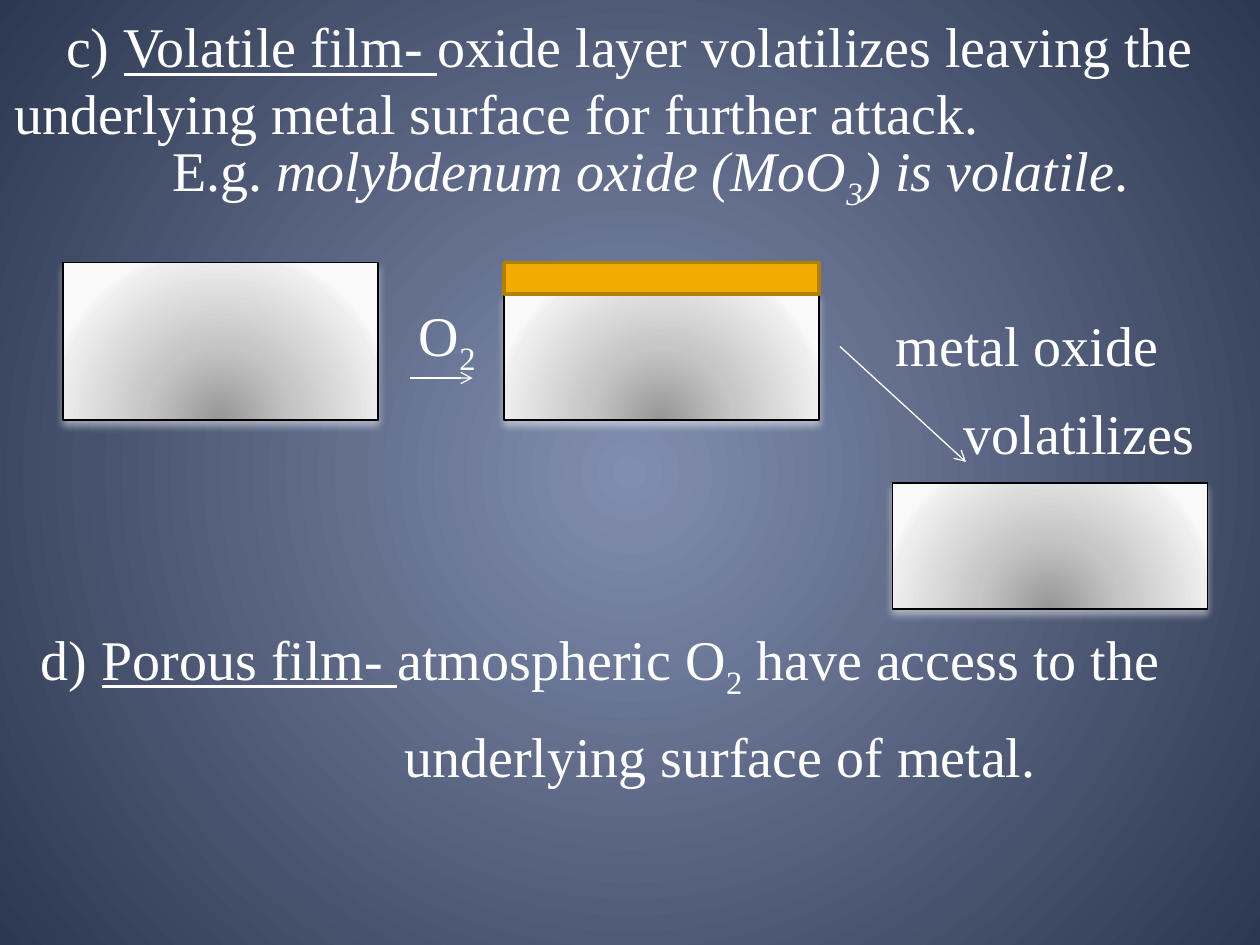
from dataclasses import dataclass

from lxml.etree import SubElement
from pptx import Presentation
from pptx.dml.color import RGBColor
from pptx.enum.shapes import MSO_CONNECTOR, MSO_SHAPE
from pptx.oxml import parse_xml
from pptx.oxml.ns import nsdecls, qn
from pptx.slide import Slide
from pptx.util import Emu, Inches, Pt


@dataclass(frozen=True)
class Theme:
    font: str = "Times New Roman"
    size: float = 32
    line_pitch: float = 38
    text: str = "FFFFFF"
    outline: str = "000000"
    shadow: str = "FFFFFF"
    oxide: str = "F0AD00"
    oxide_edge: str = "B28000"
    backdrop: tuple = ((0, "828EAF"), (100, "2C3750"))
    metal: tuple = ((0, "979797"), (43, "C6C6C6"), (93, "EEEEEE"), (100, "F9F9F9"))


@dataclass(frozen=True)
class Box:
    """A place on the grid, in columns and rows."""
    col: float
    row: float
    cols: float
    rows: float


@dataclass(frozen=True)
class Run:
    text: str
    underline: bool = False
    italic: bool = False
    sub: bool = False


@dataclass(frozen=True)
class Line:
    """A paragraph; margin and first-line indent are in columns."""
    runs: tuple[Run, ...]
    margin: float = 0
    indent: float = 0
    before: float = 0


@dataclass(frozen=True)
class Label:
    box: Box
    lines: tuple[Line, ...]


@dataclass(frozen=True)
class Arrow:
    start: tuple[float, float]
    end: tuple[float, float]


THEME = Theme()
WIDTH, HEIGHT = Inches(10), Inches(7.5)
COLS, ROWS = 120, 90
GAP = 12.3

METALS = (Box(6, 25, 30, 15), Box(48, 28, 30, 12), Box(85, 46, 30, 12))
OXIDE = Box(48, 25, 30, 3)
ARROWS = (Arrow((39, 36), (45, 36)), Arrow((80, 33), (92, 44)))
LABELS = (
    Label(Box(1.4, 1.2, 117, 19), (
        Line((Run("c) "), Run("Volatile film- ", underline=True),
              Run("oxide layer volatilizes leaving the underlying metal "
                  "surface for further attack.")), indent=4.9),
        Line((Run("E.g. "), Run("molybdenum oxide (MoO", italic=True),
              Run("3", italic=True, sub=True),
              Run(") is volatile", italic=True), Run(".")), margin=15),
    )),
    Label(Box(39.9, 29.6, 8, 7), (Line((Run("O"), Run("2", sub=True))),)),
    Label(Box(85.3, 29.6, 34, 15), (
        Line((Run("metal oxide"),)),
        Line((Run("volatilizes"),), margin=6.5, before=GAP),
    )),
    Label(Box(3.9, 60.4, 114, 15), (
        Line((Run("d) "), Run("Porous film- ", underline=True),
              Run("atmospheric O"), Run("2", sub=True),
              Run(" have access to the"))),
        Line((Run("underlying surface of metal."),), margin=34.6, before=GAP),
    )),
)


def x(cols: float) -> Emu:
    return Emu(round(WIDTH * cols / COLS))


def y(rows: float) -> Emu:
    return Emu(round(HEIGHT * rows / ROWS))


def place(box: Box) -> tuple[Emu, Emu, Emu, Emu]:
    return x(box.col), y(box.row), x(box.cols), y(box.rows)


def rgb(color: str) -> RGBColor:
    return RGBColor.from_string(color)


def radial_fill(parent, stops: tuple, top: int, bottom: int) -> None:
    """Swap the solid fill in parent for a circular gradient."""
    marks = "".join(f'<a:gs pos="{pos * 1000}"><a:srgbClr val="{color}"/></a:gs>'
                    for pos, color in stops)
    grad = parse_xml(
        f'<a:gradFill {nsdecls("a")} rotWithShape="1"><a:gsLst>{marks}</a:gsLst>'
        f'<a:path path="circle"><a:fillToRect l="50000" t="{top * 1000}" '
        f'r="50000" b="{bottom * 1000}"/></a:path></a:gradFill>')
    parent.replace(parent.find(qn("a:solidFill")), grad)


def add_block(s: Slide, box: Box, fill: str, edge: str, weight: float):
    sp = s.shapes.add_shape(MSO_SHAPE.RECTANGLE, *place(box))
    sp.shadow.inherit = False
    sp.fill.solid()
    sp.fill.fore_color.rgb = rgb(fill)
    sp.line.color.rgb = rgb(edge)
    sp.line.width = Pt(weight)
    return sp


def add_metal(s: Slide, box: Box) -> None:
    sp = add_block(s, box, THEME.metal[0][1], THEME.outline, 0.75)
    props = sp.element.spPr
    radial_fill(props, THEME.metal, 130, -30)
    props.find(qn("a:effectLst")).append(parse_xml(
        f'<a:outerShdw {nsdecls("a")} blurRad="{Pt(4.5)}" dist="{Pt(3)}" '
        f'dir="5400000" rotWithShape="0"><a:srgbClr val="{THEME.shadow}">'
        f'<a:alpha val="48000"/></a:srgbClr></a:outerShdw>'))


def add_arrow(s: Slide, arrow: Arrow) -> None:
    (x1, y1), (x2, y2) = arrow.start, arrow.end
    line = s.shapes.add_connector(MSO_CONNECTOR.STRAIGHT, x(x1), y(y1), x(x2), y(y2))
    line.line.color.rgb = rgb(THEME.text)
    line.line.width = Pt(0.75)
    SubElement(line.line._get_or_add_ln(), qn("a:tailEnd"), type="arrow")
    SubElement(line.element.spPr, qn("a:effectLst"))


def add_label(s: Slide, label: Label) -> None:
    tf = s.shapes.add_textbox(*place(label.box)).text_frame
    tf.word_wrap = True
    tf.margin_left = tf.margin_right = tf.margin_top = tf.margin_bottom = 0
    for i, line in enumerate(label.lines):
        p = tf.add_paragraph() if i else tf.paragraphs[0]
        p.line_spacing = Pt(THEME.line_pitch)
        p.space_before = Pt(line.before)
        props = p._p.get_or_add_pPr()
        props.set("marL", str(x(line.margin)))
        props.set("indent", str(x(line.indent)))
        for run in line.runs:
            r = p.add_run()
            r.text = run.text
            r.font.name = THEME.font
            r.font.size = Pt(THEME.size)
            r.font.color.rgb = rgb(THEME.text)
            r.font.underline = run.underline
            r.font.italic = run.italic
            if run.sub:
                r.font._element.set("baseline", "-25000")


def main() -> None:
    prs = Presentation()
    prs.slide_width, prs.slide_height = WIDTH, HEIGHT
    s = prs.slides.add_slide(prs.slide_layouts[6])
    s.background.fill.solid()
    s.background.fill.fore_color.rgb = rgb(THEME.backdrop[0][1])
    radial_fill(next(s.element.iter(qn("p:bgPr"))), THEME.backdrop, 50, 50)
    for label in LABELS:
        add_label(s, label)
    for box in METALS:
        add_metal(s, box)
    add_block(s, OXIDE, THEME.oxide, THEME.oxide_edge, 2)
    for arrow in ARROWS:
        add_arrow(s, arrow)
    prs.save("out.pptx")


if __name__ == "__main__":
    main()
